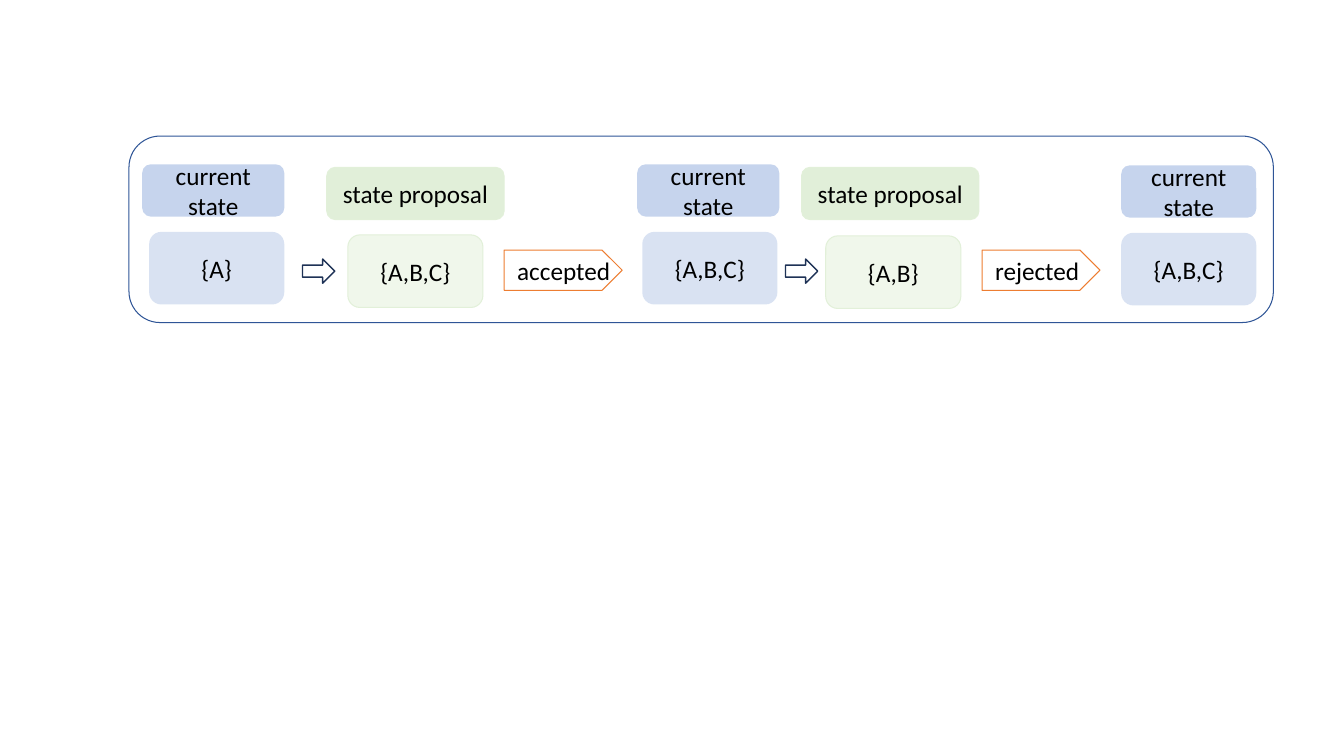
from dataclasses import dataclass

from lxml.etree import SubElement
from pptx import Presentation
from pptx.dml.color import RGBColor
from pptx.enum.shapes import MSO_SHAPE
from pptx.enum.text import MSO_ANCHOR, MSO_AUTO_SIZE, PP_ALIGN
from pptx.oxml.ns import qn
from pptx.util import Inches, Pt

SLIDE_WIDTH = Inches(13.33)
SLIDE_HEIGHT = Inches(7.5)


@dataclass(frozen=True)
class Theme:
    font: str = "Calibri"
    text_size: float = 18
    text: str = "000000"
    current_label: str = "8FAADC"
    current_card: str = "B4C7E7"
    proposal_label: str = "C5E0B4"
    proposal_card: str = "E2F0D9"
    frame: str = "2F5597"
    arrow: str = "1E3256"
    decision: str = "ED7D31"
    opacity: int = 50
    thin_line: float = 0.75
    arrow_line: float = 1


THEME = Theme()

# Shares of the slide's size, in percent
CARD_WIDTH, CARD_HEIGHT = 10.05, 9.6
CURRENT_LABEL_WIDTH, PROPOSAL_LABEL_WIDTH = 10.58, 13.2
LABEL_HEIGHT = 6.93
ARROW_TOP, ARROW_WIDTH, ARROW_HEIGHT = 34.27, 2.4, 3.2
DECISION_TOP, DECISION_WIDTH, DECISION_HEIGHT = 33.07, 8.78, 5.33
DECISION_INDENT = 0.23
FRAME = (9.6, 18, 85.15, 24.67)

# Label left, top and width, then card left, top and content
CURRENT_STATES = [
    (10.58, 21.73, CURRENT_LABEL_WIDTH, 11.1, 30.67, "{A}"),
    (47.41, 21.73, CURRENT_LABEL_WIDTH, 47.79, 30.67, "{A,B,C}"),
    (83.42, 21.87, CARD_WIDTH, 83.42, 30.8, "{A,B,C}"),
]
PROPOSALS = [
    (24.31, 22.13, PROPOSAL_LABEL_WIDTH, 25.88, 31.07, "{A,B,C}"),
    (59.64, 22.13, PROPOSAL_LABEL_WIDTH, 61.44, 31.2, "{A,B}"),
]
ARROW_LEFTS = [22.51, 58.44]
DECISIONS = [(37.51, "accepted"), (73.07, "rejected")]


def to_lengths(left, top, width, height):
    """Turn percent shares of the slide into lengths."""
    return (
        round(SLIDE_WIDTH * left / 100),
        round(SLIDE_HEIGHT * top / 100),
        round(SLIDE_WIDTH * width / 100),
        round(SLIDE_HEIGHT * height / 100),
    )


def write_text(shape, text, alignment):
    frame = shape.text_frame
    frame.word_wrap = True
    frame.text = text
    paragraph = frame.paragraphs[0]
    paragraph.alignment = alignment
    font = paragraph.runs[0].font
    font.name = THEME.font
    font.size = Pt(THEME.text_size)
    font.color.rgb = RGBColor.from_string(THEME.text)


def add_figure(shapes, preset, box, fill=None, line=None, line_width=THEME.thin_line):
    """Add a preset shape with an optional translucent fill and outline."""
    shape = shapes.add_shape(preset, *to_lengths(*box))
    shape.shadow.inherit = False
    if fill:
        shape.fill.solid()
        shape.fill.fore_color.rgb = RGBColor.from_string(fill)
        color = shape.fill._xPr.find(f"{qn('a:solidFill')}/{qn('a:srgbClr')}")
        SubElement(color, qn("a:alpha"), val=str(THEME.opacity * 1000))
    else:
        shape.fill.background()
    if line:
        shape.line.color.rgb = RGBColor.from_string(line)
        shape.line.width = Pt(line_width)
    else:
        shape.line.fill.background()
    return shape


def add_box(shapes, box, text, fill, line):
    shape = add_figure(shapes, MSO_SHAPE.ROUNDED_RECTANGLE, box, fill, line)
    shape.text_frame.vertical_anchor = MSO_ANCHOR.MIDDLE
    write_text(shape, text, PP_ALIGN.CENTER)


def add_state(shapes, state, title, label_fill, card_fill, line=None):
    """Add a state's label and the card below it."""
    label_left, label_top, label_width, card_left, card_top, content = state
    label_box = (label_left, label_top, label_width, LABEL_HEIGHT)
    card_box = (card_left, card_top, CARD_WIDTH, CARD_HEIGHT)
    add_box(shapes, label_box, title, label_fill, line)
    add_box(shapes, card_box, content, card_fill, line)


def add_decision(shapes, left, text):
    """Add a pentagon grouped with its caption."""
    group = shapes.add_group_shape()
    box = (left, DECISION_TOP, DECISION_WIDTH, DECISION_HEIGHT)
    add_figure(group.shapes, MSO_SHAPE.PENTAGON, box, line=THEME.decision)
    caption = group.shapes.add_textbox(*to_lengths(
        left + DECISION_INDENT, DECISION_TOP,
        DECISION_WIDTH - DECISION_INDENT, DECISION_HEIGHT))
    write_text(caption, text, PP_ALIGN.LEFT)
    caption.text_frame.auto_size = MSO_AUTO_SIZE.SHAPE_TO_FIT_TEXT


def main():
    presentation = Presentation()
    presentation.slide_width = SLIDE_WIDTH
    presentation.slide_height = SLIDE_HEIGHT
    blank_layout = presentation.slide_layouts.get_by_name("Blank")
    shapes = presentation.slides.add_slide(blank_layout).shapes

    add_figure(shapes, MSO_SHAPE.ROUNDED_RECTANGLE, FRAME, line=THEME.frame)
    for state in CURRENT_STATES:
        add_state(shapes, state, "current state",
                  THEME.current_label, THEME.current_card)
    for state in PROPOSALS:
        add_state(shapes, state, "state proposal", THEME.proposal_label,
                  THEME.proposal_card, THEME.proposal_card)
    for left in ARROW_LEFTS:
        box = (left, ARROW_TOP, ARROW_WIDTH, ARROW_HEIGHT)
        add_figure(shapes, MSO_SHAPE.RIGHT_ARROW, box,
                   line=THEME.arrow, line_width=THEME.arrow_line)
    for left, text in DECISIONS:
        add_decision(shapes, left, text)

    presentation.save("out.pptx")


if __name__ == "__main__":
    main()
